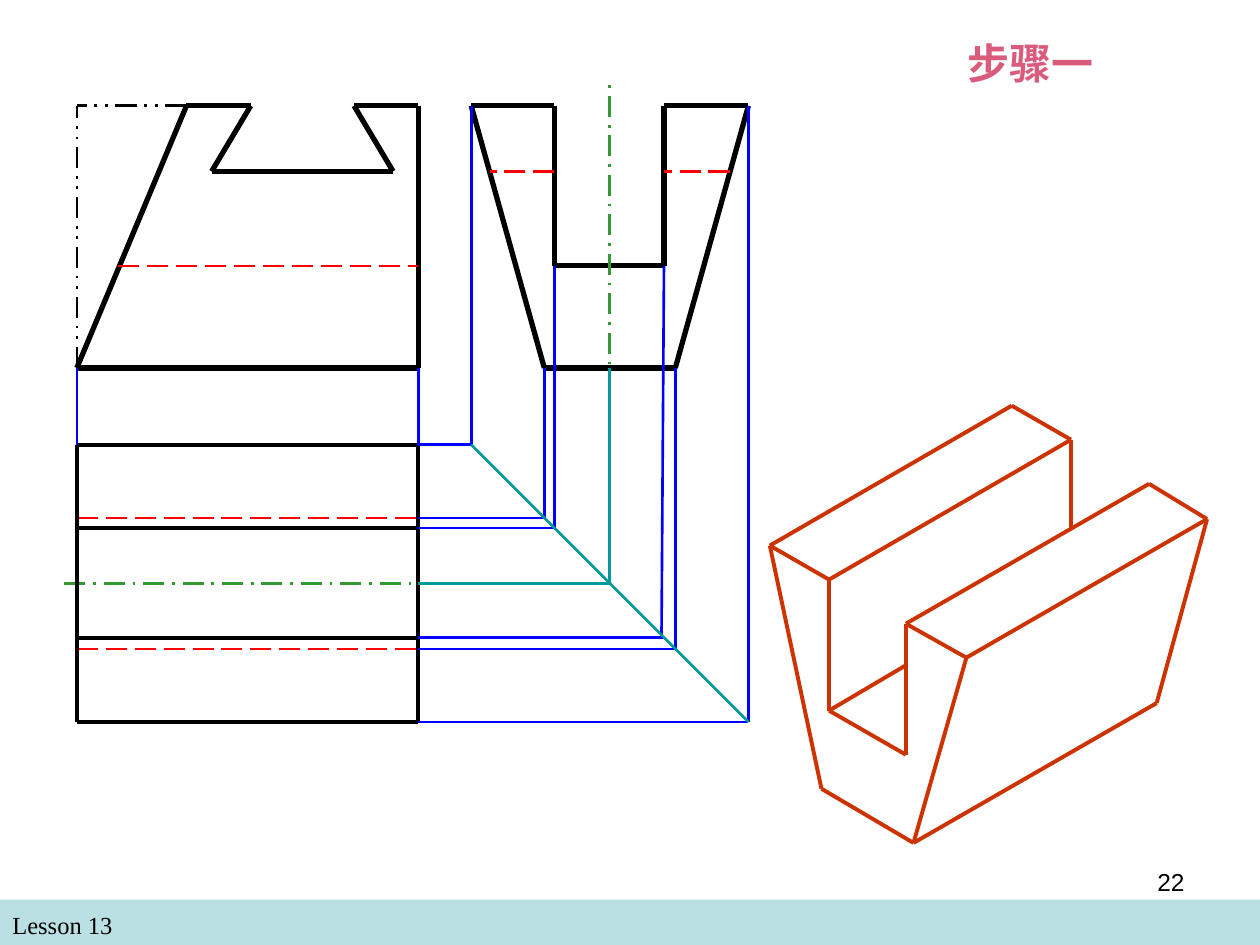
from dataclasses import dataclass
from typing import Optional

from lxml.etree import SubElement
from pptx import Presentation
from pptx.dml.color import RGBColor as RGB
from pptx.enum.dml import MSO_LINE as DASH
from pptx.enum.shapes import MSO_CONNECTOR as CONNECTOR, MSO_SHAPE as SHAPE
from pptx.enum.text import PP_ALIGN as ALIGN
from pptx.oxml.ns import qn
from pptx.util import Inches, Pt


@dataclass(frozen=True)
class Pen:
    color: str
    width: float = 1.5
    dash: Optional[DASH] = None


@dataclass(frozen=True)
class Theme:
    band: str = "BBE0E3"
    ink: str = "000000"
    heading: str = "DA5C7D"
    serif: str = "Times New Roman"
    sans: str = "Arial"
    heading_size: int = 24
    small_size: int = 14
    outline: Pen = Pen("000000", 3)
    plan_edge: Pen = Pen("000000", 2.25)
    solid_edge: Pen = Pen("CC3300", 2.25)
    hidden: Pen = Pen("FF0000", dash=DASH.LONG_DASH)
    center: Pen = Pen("339933", dash=DASH.LONG_DASH_DOT)
    removed: Pen = Pen("000000", dash=DASH.DASH_DOT_DOT)
    projection: Pen = Pen("0000FF")
    miter: Pen = Pen("009999")


def write(frame, text, *, font, size, color, bold=False, align=ALIGN.LEFT):
    frame.word_wrap = True
    paragraph = frame.paragraphs[0]
    paragraph.alignment = align
    run = paragraph.add_run()
    run.text = text
    run.font.name = font
    run.font.size = Pt(size)
    run.font.bold = bold
    run.font.color.rgb = RGB.from_string(color)


class Drawing:
    def __init__(self, slide, theme):
        self.slide = slide
        self.theme = theme

    def band(self, left, top, width, height):
        band = self.slide.shapes.add_shape(SHAPE.RECTANGLE, *map(Inches, (left, top, width, height)))
        band.shadow.inherit = False
        band.fill.solid()
        band.fill.fore_color.rgb = RGB.from_string(self.theme.band)
        band.line.fill.background()

    def label(self, text, left, top, width, height, **text_format):
        box = self.slide.shapes.add_textbox(*map(Inches, (left, top, width, height)))
        write(box.text_frame, text, **text_format)

    def chain(self, pen, *points):
        """Join each point to the next with a straight line."""
        for start, end in zip(points, points[1:]):
            edge = self.slide.shapes.add_connector(CONNECTOR.STRAIGHT, *map(Inches, start + end))
            edge.line.color.rgb = RGB.from_string(pen.color)
            edge.line.width = Pt(pen.width)
            if pen.dash is not None:
                edge.line.dash_style = pen.dash
            SubElement(edge._element.spPr, qn("a:effectLst"))


# Levels shared by the front and side views
TOP, DOVETAIL, GROOVE, BASE = 0.84, 1.36, 2.11, 2.92
# Front view, and the plan below it
LEFT, RIGHT = 0.61, 3.32
SLOPE_TOP = 1.48
# Side view
SIDE_LEFT, SIDE_RIGHT = 3.74, 5.94
BASE_LEFT, BASE_RIGHT = 4.32, 5.36
GROOVE_LEFT, GROOVE_RIGHT = 4.4, 5.27
AXIS = 4.84


def plan_y(side_x):
    """Height in the plan that the 45-degree miter line gives a side-view x."""
    return side_x - 0.21


def draw_views(drawing):
    theme = drawing.theme
    drawing.chain(theme.outline, (2.81, TOP), (RIGHT, TOP), (RIGHT, BASE), (LEFT, BASE),
                  (SLOPE_TOP, TOP), (1.99, TOP), (1.68, DOVETAIL), (3.12, DOVETAIL), (2.81, TOP))
    drawing.chain(theme.outline, (SIDE_LEFT, TOP), (GROOVE_LEFT, TOP), (GROOVE_LEFT, GROOVE),
                  (GROOVE_RIGHT, GROOVE), (GROOVE_RIGHT, TOP), (SIDE_RIGHT, TOP),
                  (BASE_RIGHT, BASE), (BASE_LEFT, BASE), (SIDE_LEFT, TOP))

    drawing.chain(theme.hidden, (0.94, GROOVE), (RIGHT, GROOVE))
    drawing.chain(theme.hidden, (GROOVE_LEFT, DOVETAIL), (3.89, DOVETAIL))
    drawing.chain(theme.hidden, (5.79, DOVETAIL), (GROOVE_RIGHT, DOVETAIL))
    drawing.chain(theme.center, (AXIS, 3.12), (AXIS, 0.64))
    drawing.chain(theme.center, (0.51, plan_y(AXIS)), (3.46, plan_y(AXIS)))

    for side_x in (BASE_LEFT, BASE_RIGHT):
        drawing.chain(theme.hidden, (LEFT, plan_y(side_x)), (RIGHT, plan_y(side_x)))
    for side_x in (SIDE_LEFT, GROOVE_LEFT, GROOVE_RIGHT, SIDE_RIGHT):
        drawing.chain(theme.plan_edge, (LEFT, plan_y(side_x)), (RIGHT, plan_y(side_x)))
    for x in (LEFT, RIGHT):
        drawing.chain(theme.plan_edge, (x, plan_y(SIDE_LEFT)), (x, plan_y(SIDE_RIGHT)))


def draw_solid(drawing):
    pen = drawing.theme.solid_edge
    left_outer, left_inner = (6.11, 4.33), (6.58, 4.6)
    right_inner, right_outer = (7.19, 4.95), (7.67, 5.22)
    floor_left, floor_right = (6.58, 5.64), (7.19, 5.99)
    base_left, base_right = (6.52, 6.26), (7.25, 6.69)
    back_left_outer, back_left_inner = (8.03, 3.22), (8.5, 3.49)
    back_right_inner, back_right_outer = (9.12, 3.84), (9.58, 4.12)
    back_base = (9.18, 5.58)

    drawing.chain(pen, left_outer, base_left, base_right, right_outer, right_inner,
                  floor_right, floor_left, left_inner, left_outer)
    drawing.chain(pen, left_outer, back_left_outer, back_left_inner, left_inner)
    drawing.chain(pen, right_inner, back_right_inner, back_right_outer, right_outer)
    drawing.chain(pen, base_right, back_base, back_right_outer)
    drawing.chain(pen, back_left_inner, (8.5, 4.2))
    drawing.chain(pen, floor_left, (7.19, 5.28))


def draw_projections(drawing):
    theme = drawing.theme
    drawing.chain(theme.removed, (SLOPE_TOP, TOP), (LEFT, TOP))
    drawing.chain(theme.removed, (LEFT, BASE), (LEFT, TOP))
    for x in (LEFT, RIGHT):
        drawing.chain(theme.projection, (x, BASE), (x, plan_y(SIDE_LEFT)))
    for side_x, start_y in ((SIDE_LEFT, TOP), (SIDE_RIGHT, TOP), (BASE_LEFT, BASE),
                            (BASE_RIGHT, BASE), (GROOVE_LEFT, GROOVE)):
        corner = (side_x, plan_y(side_x))
        drawing.chain(theme.projection, (side_x, start_y), corner, (RIGHT, corner[1]))
    # The right groove wall is projected slightly off the vertical
    drawing.chain(theme.projection, (GROOVE_RIGHT, GROOVE), (5.25, 5.05))
    drawing.chain(theme.projection, (RIGHT, plan_y(GROOVE_RIGHT)),
                  (GROOVE_RIGHT, plan_y(GROOVE_RIGHT)))
    drawing.chain(theme.miter, (RIGHT, plan_y(AXIS)), (AXIS, plan_y(AXIS)), (AXIS, BASE))
    drawing.chain(theme.miter, (SIDE_LEFT, plan_y(SIDE_LEFT)), (SIDE_RIGHT, plan_y(SIDE_RIGHT)))


def main():
    deck = Presentation()
    deck.slide_width, deck.slide_height = Inches(10), Inches(7.5)
    theme = Theme()
    drawing = Drawing(deck.slides.add_slide(deck.slide_layouts[6]), theme)

    drawing.band(0, 7.14, 10, 0.36)
    drawing.label("Lesson 13", 0, 7.17, 4.83, 0.34,
                  font=theme.serif, size=theme.small_size, color=theme.ink)
    draw_views(drawing)
    draw_solid(drawing)
    draw_projections(drawing)
    drawing.label("步骤一", 7.58, 0.25, 1.42, 0.5, font=theme.serif,
                  size=theme.heading_size, color=theme.heading, bold=True)
    drawing.label("22", 7.17, 6.83, 2.33, 0.52, font=theme.sans,
                  size=theme.small_size, color=theme.ink, align=ALIGN.RIGHT)
    deck.save("out.pptx")


if __name__ == "__main__":
    main()
